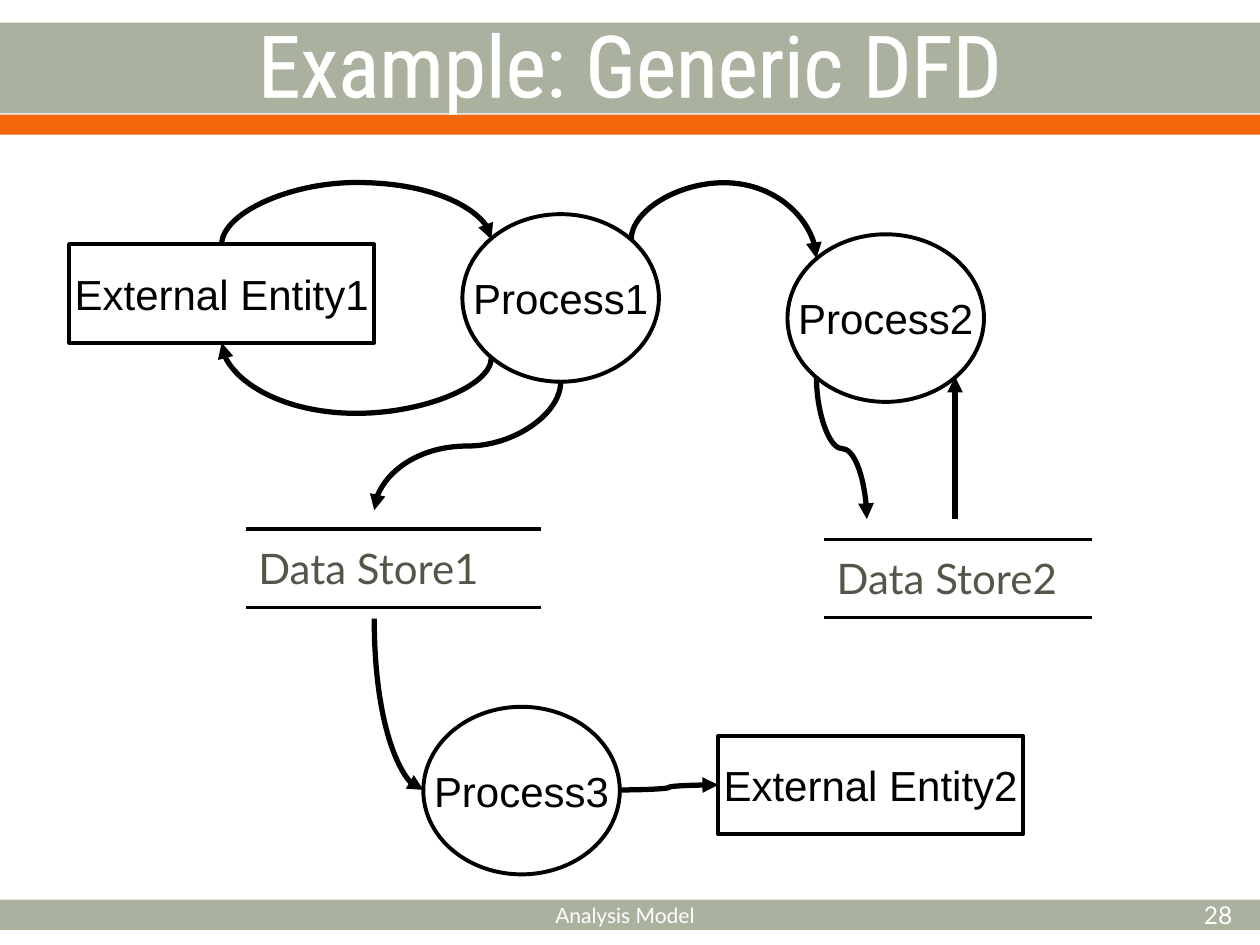
import pptx
import pptx.util
import pptx.dml.color
import pptx.enum.shapes
import pptx.enum.text
import pptx.oxml
import pptx.oxml.ns

Inches, Pt = pptx.util.Inches, pptx.util.Pt
KIND = pptx.enum.shapes.MSO_SHAPE
LINK = pptx.enum.shapes.MSO_CONNECTOR
ALIGN = pptx.enum.text.PP_ALIGN
MIDDLE = pptx.enum.text.MSO_ANCHOR.MIDDLE
qn = pptx.oxml.ns.qn
NS = 'xmlns:a="http://schemas.openxmlformats.org/drawingml/2006/main"'

BLACK, WHITE, SAGE, ORANGE, GRAY = "000000", "FFFFFF", "ABB19F", "F4680B", "55554A"

# top, height, colour
BANDS = [(7.14, 0.24, SAGE), (0.18, 0.72, SAGE), (0.91, 0.16, ORANGE)]

# text, box, size, font, alignment
LABELS = [
    ("Example: Generic DFD", (0, 0.19, 10, 0.62), 49, "Roboto Condensed", ALIGN.CENTER),
    ("Analysis Model", (2.32, 7.06, 5.28, 0.4), 12, "Lato", ALIGN.CENTER),
    ("28", (8.15, 7.06, 1.73, 0.4), 14, "Lato", ALIGN.RIGHT),
]

# kind: preset, width, height, [(text, left, top)]
NODES = [
    (KIND.RECTANGLE, 2.42, 0.78, [("External Entity1", 0.55, 1.94),
                                  ("External Entity2", 5.7, 5.84)]),
    (KIND.OVAL, 1.56, 1.33, [("Process1", 3.67, 1.7), ("Process2", 6.25, 1.86),
                             ("Process3", 3.36, 5.61)]),
]

# text, left, top, width
STORES = [("Data Store1", 1.95, 4.2, 2.34), ("Data Store2", 6.54, 4.28, 2.13)]
ROW = 0.62

# start, end, height of the bend
FLOWS = [
    ((1.76, 1.94), (3.9, 1.9), 1.45),
    ((5.01, 1.9), (6.48, 2.05), 1.45),
    ((3.9, 2.84), (1.76, 2.72), 3.28),
    ((6.48, 2.99), (6.88, 4.12), 3.56),
    ((4.45, 3.03), (2.97, 4.05), 3.54),
]
QUARTER = ((2.97, 4.91), (3.36, 6.27))
ACROSS = ((4.92, 6.27), (5.7, 6.23))
RISE = ((7.58, 4.12), (7.58, 2.99))


def color(code):
    return pptx.dml.color.RGBColor.from_string(code)


def write(frame, text, size, font, code, align):
    frame.vertical_anchor = MIDDLE
    para = frame.paragraphs[0]
    para.alignment = align
    run = para.add_run()
    run.text = text
    run.font.size = Pt(size)
    run.font.name = font
    run.font.color.rgb = color(code)
    return run


def shape(slide, kind, box, fill, line=None):
    item = slide.shapes.add_shape(kind, *map(Inches, box))
    item.shadow.inherit = False
    item.fill.solid()
    item.fill.fore_color.rgb = color(fill)
    if line:
        item.line.color.rgb = color(line)
        item.line.width = Pt(2.25)
    else:
        item.line.fill.background()
    return item


def label(slide, text, box, size, font, align):
    frame = slide.shapes.add_textbox(*map(Inches, box)).text_frame
    frame.word_wrap = True
    return write(frame, text, size, font, WHITE, align)


def store(slide, text, left, top, width):
    """Draw a data store: one cell ruled above and below."""
    table = slide.shapes.add_table(1, 1, *map(Inches, (left, top, width, ROW))).table
    table.first_row = table.horz_banding = False
    cell = table.cell(0, 0)
    write(cell.text_frame, text, 24, "Lato", GRAY, ALIGN.LEFT)
    cell.vertical_anchor = MIDDLE
    cell.fill.background()
    props = cell._tc.get_or_add_tcPr()
    for at, side in enumerate("LRTB"):
        paint = "<a:noFill/>"
        if side in "TB":
            paint = f'<a:solidFill><a:srgbClr val="{BLACK}"/></a:solidFill>'
        props.insert(at, pptx.oxml.parse_xml(
            f'<a:ln{side} {NS} w="{Pt(2.25)}">{paint}</a:ln{side}>'))


def arrow(slide, kind, start, end):
    link = slide.shapes.add_connector(kind, *map(Inches, start + end))
    link.line.color.rgb = color(BLACK)
    link.line.width = Pt(3)
    link.line._get_or_add_ln().append(
        pptx.oxml.parse_xml(f'<a:tailEnd {NS} type="triangle"/>'))
    link._element.spPr.append(pptx.oxml.parse_xml(f"<a:effectLst {NS}/>"))
    return link


def flow(slide, start, end, bend=None):
    """Draw a curve that leaves vertically; without a bend it is a quarter turn."""
    (x1, y1), (x2, y2) = start, end
    mx, my = (x1 + x2) / 2, (y1 + y2) / 2
    dx, dy = abs(x2 - x1) / 2, abs(y2 - y1) / 2
    # The curve is laid flat around its middle, then turned upright.
    turn = 90 if x2 < x1 else 270
    side = 1 if (turn == 90) == (y2 > y1) else -1
    link = arrow(slide, LINK.CURVE, (mx - side * dy, my - dx), (mx + side * dy, my + dx))
    props = link._element.spPr
    props.find(qn("a:xfrm")).set("rot", str(turn * 60000))
    geom = props.find(qn("a:prstGeom"))
    if bend is None:
        geom.set("prst", "curvedConnector2")
        return
    ratio = round((bend - y1) / (y2 - y1) * 100000)
    old = geom.find(qn("a:avLst"))
    if old is not None:
        geom.remove(old)
    geom.append(pptx.oxml.parse_xml(
        f'<a:avLst {NS}><a:gd name="adj1" fmla="val {ratio}"/></a:avLst>'))


def main():
    deck = pptx.Presentation()
    deck.slide_width, deck.slide_height = Inches(10), Inches(7.5)
    slide = deck.slides.add_slide(deck.slide_layouts[6])

    for top, height, fill in BANDS:
        shape(slide, KIND.RECTANGLE, (0, top, 10, height), fill)
    title, *_ = [label(slide, *row) for row in LABELS]
    title._r.get_or_add_rPr().insert(0, pptx.oxml.parse_xml(
        f'<a:ln {NS} w="{Pt(1.1)}"><a:solidFill><a:srgbClr val="{WHITE}"/>'
        "</a:solidFill></a:ln>"))

    for kind, width, height, items in NODES:
        for text, left, top in items:
            node = shape(slide, kind, (left, top, width, height), WHITE, BLACK)
            node.text_frame.word_wrap = False
            write(node.text_frame, text, 24, "Arial", BLACK, ALIGN.CENTER)
    for row in STORES:
        store(slide, *row)

    for row in FLOWS:
        flow(slide, *row)
    flow(slide, *QUARTER)
    arrow(slide, LINK.CURVE, *ACROSS)
    arrow(slide, LINK.STRAIGHT, *RISE)

    deck.save("out.pptx")


if __name__ == "__main__":
    main()
